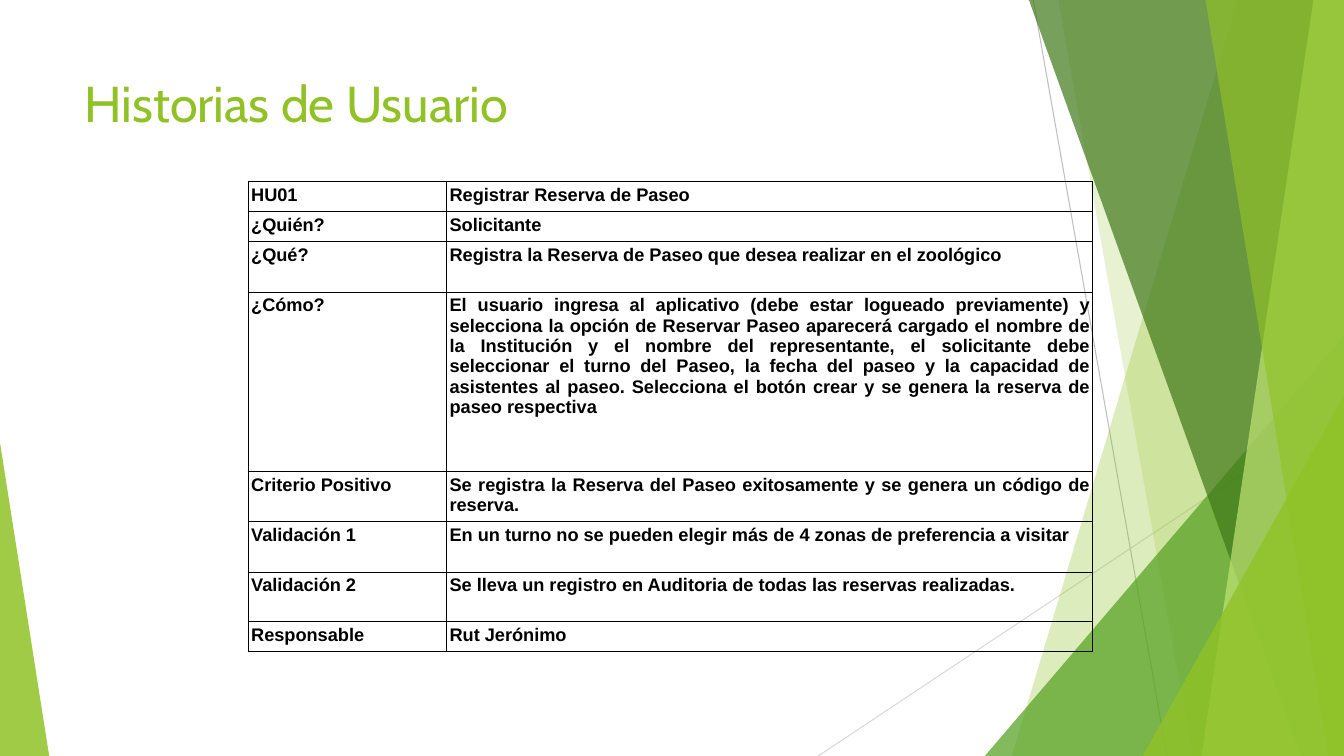
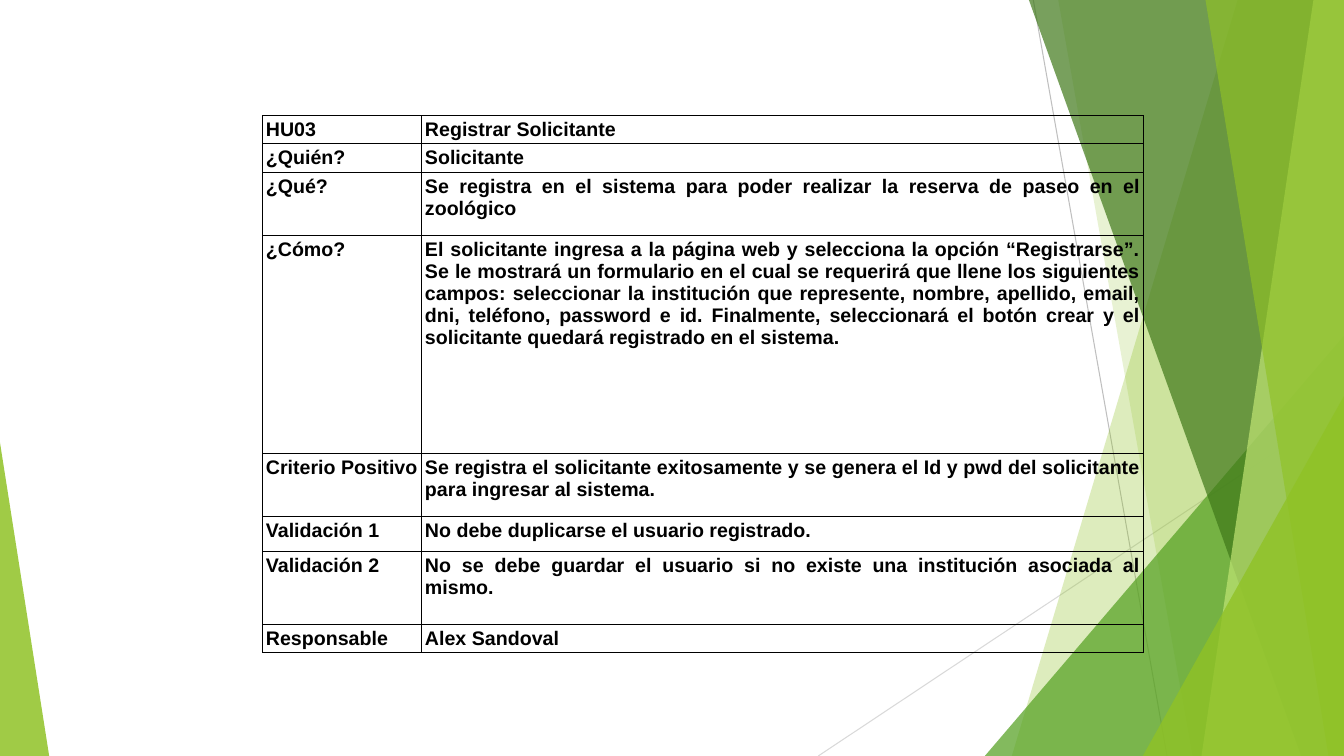
"""Build two user-story slides with a shared green facet master."""
import dataclasses

import pptx
import pptx.chart.data
import pptx.dml.color
import pptx.enum.shapes
import pptx.enum.text
import pptx.oxml.xmlchemy
import pptx.util

Cm = pptx.util.Cm
Pt = pptx.util.Pt
RGBColor = pptx.dml.color.RGBColor
OxmlElement = pptx.oxml.xmlchemy.OxmlElement


@dataclasses.dataclass(frozen=True)
class Theme:
    lime: str = "90C226"
    leaf: str = "54A021"
    forest: str = "3F7819"
    pale: str = "C0E474"
    gray: str = "BFBFBF"
    light_gray: str = "D9D9D9"
    black: str = "000000"
    title_font: str = "Cabin"
    table_font: str = "Arial"
    title_size: int = 36
    hairline: float = 0.75


theme = Theme()
WIDTH, HEIGHT = 33.87, 19.05
CELL_MARGIN = 0.08


def format_text(paragraph, font_name, size, color, bold=False):
    for run in paragraph.runs:
        run.font.name = font_name
        run.font.size = Pt(size)
        run.font.bold = bold
        run.font.color.rgb = RGBColor.from_string(color)


def border_cell(cell):
    properties = cell._tc.get_or_add_tcPr()
    for position, side in enumerate(("a:lnL", "a:lnR", "a:lnT", "a:lnB")):
        line = OxmlElement(side)
        line.set("w", str(Pt(theme.hairline)))
        fill = OxmlElement("a:solidFill")
        color = OxmlElement("a:srgbClr")
        color.set("val", theme.black)
        fill.append(color)
        line.append(fill)
        properties.insert(position, line)


presentation = pptx.Presentation()
presentation.slide_width = Cm(WIDTH)
presentation.slide_height = Cm(HEIGHT)
title_only, blank = presentation.slide_layouts[5], presentation.slide_layouts[6]
title_slide = presentation.slides.add_slide(title_only)
plain_slide = presentation.slides.add_slide(blank)

decoration = []
for start_x, start_y, end_x, color in (
    (26.04, 0, 29.41, theme.gray),
    (WIDTH, 10.24, 20.62, theme.light_gray),
):
    connector = title_slide.shapes.add_connector(
        pptx.enum.shapes.MSO_CONNECTOR.STRAIGHT,
        Cm(start_x), Cm(start_y), Cm(end_x), Cm(HEIGHT),
    )
    connector.line.color.rgb = RGBColor.from_string(color)
    connector.line.width = Pt(theme.hairline)
    connector.element.spPr.append(OxmlElement("a:effectLst"))
    decoration.append(connector)

facets = (
    ("strip", (31.19, 25.5), theme.lime, 30),
    ("strip", (26.67, 30.05), theme.lime, 20),
    ("triangle", (24.82, 8.46, WIDTH, 1), theme.leaf, 72),
    ("strip", (25.93, 32.79), theme.forest, 70),
    ("strip", (33.1, 30.28), theme.pale, 70),
    ("strip", (30.38, 33.48), theme.lime, 65),
    ("triangle", (28.8, 9.98, WIDTH, 1), theme.lime, 80),
    ("triangle", (0, 11.15, 1.24, 0), theme.lime, 85),
)
for kind, geometry, color, opacity in facets:
    if kind == "strip":
        top_x, bottom_x = geometry
        builder = title_slide.shapes.build_freeform(Cm(top_x), 0)
        builder.add_line_segments(
            [(Cm(WIDTH), 0), (Cm(WIDTH), Cm(HEIGHT)), (Cm(bottom_x), Cm(HEIGHT))]
        )
        shape = builder.convert_to_shape()
    else:
        left, top, right, apex = geometry
        shape = title_slide.shapes.add_shape(
            pptx.enum.shapes.MSO_SHAPE.ISOSCELES_TRIANGLE,
            Cm(left), Cm(top), Cm(right - left), Cm(HEIGHT - top),
        )
        shape.adjustments[0] = apex
    shape.fill.solid()
    shape.fill.fore_color.rgb = RGBColor.from_string(color)
    alpha = OxmlElement("a:alpha")
    alpha.set("val", str(opacity * 1000))
    shape.element.spPr.xpath("./a:solidFill/a:srgbClr")[0].append(alpha)
    shape.line.fill.background()
    shape.shadow.inherit = False
    decoration.append(shape)

master_tree = presentation.slide_master.shapes.element
for number, shape in enumerate(decoration):
    shape.element.xpath(".//p:cNvPr")[0].set("id", str(20 + number))
    master_tree.insert(2 + number, shape.element)

title = title_slide.shapes.title
title.left, title.top, title.width, title.height = Cm(1.88), Cm(1.7), Cm(23.88), Cm(3.66)
title.text_frame.text = "Historias de Usuario"
title.text_frame.vertical_anchor = pptx.enum.text.MSO_ANCHOR.TOP
title_paragraph = title.text_frame.paragraphs[0]
title_paragraph.alignment = pptx.enum.text.PP_ALIGN.LEFT
format_text(title_paragraph, theme.title_font, theme.title_size, theme.lime)

row_labels = (
    "¿Quién?", "¿Qué?", "¿Cómo?", "Criterio Positivo",
    "Validación 1", "Validación 2", "Responsable",
)
stories = (
    {
        "slide": title_slide,
        "corner": (6.25, 4.57),
        "size": 13,
        "columns": (5, 16.28),
        "rows": (0.76, 0.76, 1.27, 4.52, 1.27, 1.27, 1.24, 0.76),
        "code": "HU01",
        "values": (
            "Registrar Reserva de Paseo",
            "Solicitante",
            "Registra la Reserva de Paseo que desea realizar en el zoológico",
            "El usuario ingresa al aplicativo (debe estar logueado previamente) y "
            "selecciona la opción de Reservar Paseo aparecerá cargado el nombre de la "
            "Institución y el nombre del representante, el solicitante debe seleccionar "
            "el turno del Paseo, la fecha del paseo y la capacidad de asistentes al "
            "paseo. Selecciona el botón crear y se genera la reserva de paseo respectiva",
            "Se registra la Reserva del Paseo exitosamente y se genera un código de reserva.",
            "En un turno no se pueden elegir más de 4 zonas de preferencia a visitar",
            "Se lleva un registro en Auditoria de todas las reservas realizadas.",
            "Rut Jerónimo",
        ),
    },
    {
        "slide": plain_slide,
        "corner": (6.62, 2.91),
        "size": 14,
        "columns": (4.01, 18.19),
        "rows": (0.71, 0.71, 1.59, 5.49, 1.59, 0.89, 1.83, 0.71),
        "code": "HU03",
        "values": (
            "Registrar Solicitante",
            "Solicitante",
            "Se registra en el sistema para poder realizar la reserva de paseo en el zoológico",
            "El solicitante ingresa a la página web y selecciona la opción “Registrarse”. "
            "Se le mostrará un formulario en el cual se requerirá que llene los siguientes "
            "campos: seleccionar la institución que represente, nombre, apellido, email, "
            "dni, teléfono, password e id. Finalmente, seleccionará el botón crear y el "
            "solicitante quedará registrado en el sistema.",
            "Se registra el solicitante exitosamente y se genera el Id y pwd del "
            "solicitante para ingresar al sistema.",
            "No debe duplicarse el usuario registrado.",
            "No se debe guardar el usuario si no existe una institución asociada al mismo.",
            "Alex Sandoval",
        ),
    },
)
for story in stories:
    left, top = story["corner"]
    table = story["slide"].shapes.add_table(
        len(story["rows"]), len(story["columns"]), Cm(left), Cm(top),
        Cm(sum(story["columns"])), Cm(sum(story["rows"])),
    ).table
    table.first_row = False
    table.horz_banding = False
    for column, width in zip(table.columns, story["columns"]):
        column.width = Cm(width)
    labels = (story["code"], *row_labels)
    for row, height, texts in zip(table.rows, story["rows"], zip(labels, story["values"])):
        row.height = Cm(height)
        for cell, text in zip(row.cells, texts):
            cell.margin_left = cell.margin_right = Cm(CELL_MARGIN)
            cell.margin_top = cell.margin_bottom = Cm(CELL_MARGIN)
            cell.fill.background()
            border_cell(cell)
            cell.text_frame.text = text
            paragraph = cell.text_frame.paragraphs[0]
            paragraph.alignment = pptx.enum.text.PP_ALIGN.JUSTIFY
            format_text(paragraph, theme.table_font, story["size"], theme.black, bold=True)

presentation.save("out.pptx")
